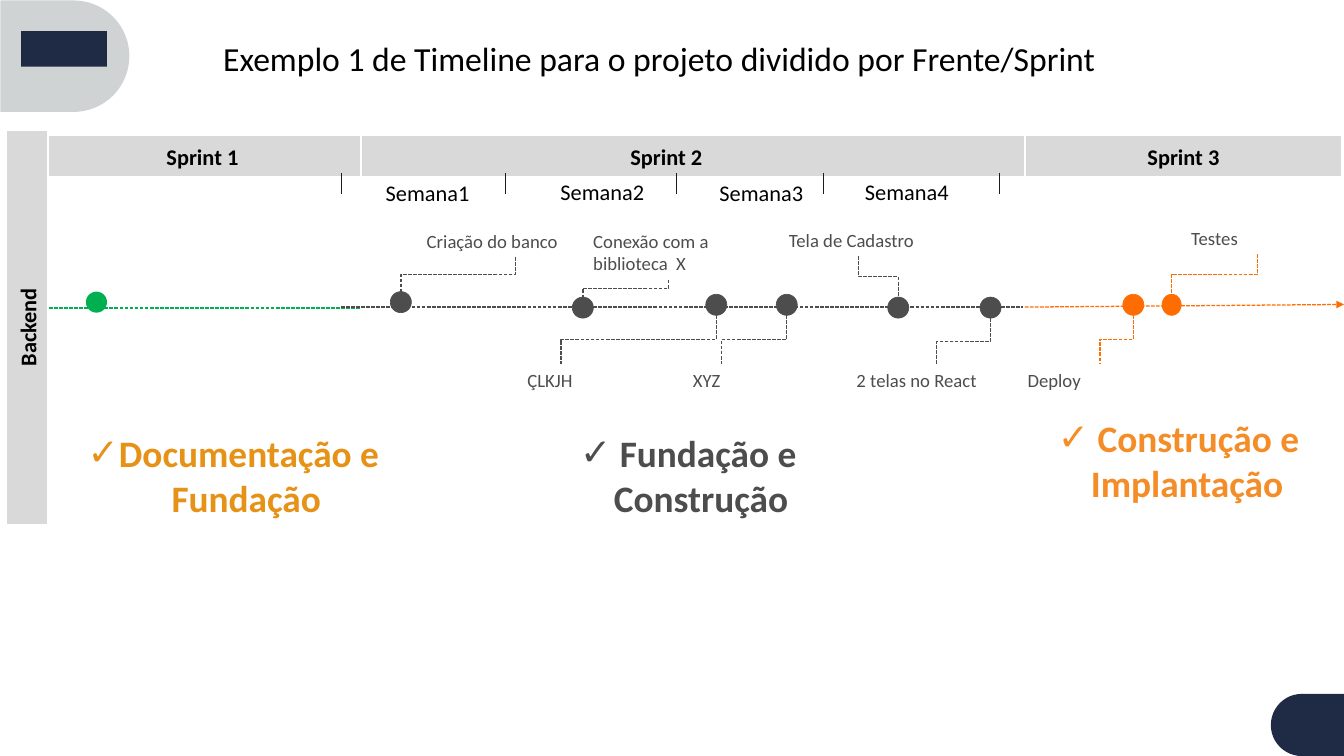
from dataclasses import dataclass

from lxml.etree import SubElement
from pptx import Presentation
from pptx.dml.color import RGBColor
from pptx.enum.dml import MSO_LINE
from pptx.enum.shapes import MSO_CONNECTOR, MSO_SHAPE
from pptx.enum.text import MSO_ANCHOR, MSO_AUTO_SIZE, PP_ALIGN
from pptx.oxml.ns import qn
from pptx.shapes.autoshape import Shape
from pptx.shapes.connector import Connector
from pptx.slide import Slide
from pptx.util import Pt


@dataclass(frozen=True)
class Theme:
    font: str = "Calibri"
    black: str = "000000"
    white: str = "FFFFFF"
    navy: str = "1F2A44"
    mist: str = "D0D3D4"
    band: str = "D9D9D9"
    grey: str = "4D4D4D"
    tick: str = "1C1C1C"
    green: str = "00B050"
    orange: str = "FF6D00"
    amber: str = "E59217"
    tangerine: str = "F48D27"
    title_size: float = 26.5
    goal_size: float = 29.4
    band_size: float = 17.6
    label_size: float = 14.7


THEME = Theme()
DOT = 16.6


@dataclass(frozen=True)
class Box:
    left: float
    top: float
    width: float
    height: float


@dataclass(frozen=True)
class Milestone:
    text: str
    label: Box
    dot: Box
    color: str = THEME.grey


@dataclass(frozen=True)
class Goal:
    placeholder: int
    text: str
    box: Box
    color: str


@dataclass(frozen=True)
class Label:
    text: str
    box: Box
    rotation: float = 0


BANDS = [
    Label("Sprint 2", Box(242.6, 106.6, 564.5, 33.1)),
    Label("Sprint 3", Box(807.1, 106.6, 249.8, 33.1)),
    Label("Sprint 1", Box(34.6, 106.6, 249.8, 33.1)),
    Label("Backend", Box(-133.9, 241.2, 311, 33.1), 270),
]
WEEKS = [(303.8, 135.4), (441.4, 134.6), (566.6, 136.1), (681.1, 134.6)]
TICKS = [268.6, 398.2, 532.8, 648.7, 787]
MILESTONES = [
    Milestone("Criação do banco", Box(329, 177.1, 153.4, 25.2), Box(307.4, 229.7, DOT, DOT)),
    Milestone("Conexão com a biblioteca  X", Box(460.1, 177.1, 133.2, 43.2), Box(450.7, 234, DOT, DOT)),
    Milestone("Tela de Cadastro", Box(614.2, 176.4, 123.8, 25.2), Box(699.1, 234, DOT, DOT)),
    Milestone("Testes", Box(931, 175, 118.8, 25.2), Box(915.1, 231.8, 15.1, DOT), THEME.orange),
    Milestone("ÇLKJH", Box(408.2, 286.6, 67, 25.2), Box(555.8, 231.8, DOT, DOT)),
    Milestone("XYZ", Box(538.6, 286.6, 59, 25.2), Box(611.3, 231.8, DOT, DOT)),
    Milestone("2 telas no React", Box(667.4, 287.3, 140.4, 25.2), Box(771.8, 234, DOT, DOT)),
    Milestone("Deploy", Box(802.1, 286.6, 128.2, 25.2), Box(884.2, 231.8, DOT, DOT), THEME.orange),
]
GOALS = [
    Goal(1, "Documentação e Fundação", Box(59, 335.5, 249.8, 78.5), THEME.amber),
    Goal(2, " Fundação e Construção", Box(411.8, 335.5, 260.6, 78.5), THEME.grey),
    Goal(3, " Construção e Implantação ", Box(797.8, 323.3, 260.6, 78.5), THEME.tangerine),
]


def place(shape: Shape, box: Box) -> None:
    shape.left, shape.top = Pt(box.left), Pt(box.top)
    shape.width, shape.height = Pt(box.width), Pt(box.height)


def write(shape: Shape, text: str, size: float, color: str, bold: bool = False,
          align: PP_ALIGN = PP_ALIGN.LEFT, anchor: MSO_ANCHOR = MSO_ANCHOR.TOP,
          wrap: bool = True, inset: tuple[float, float] = (7.2, 3.6)):
    frame = shape.text_frame
    frame.word_wrap, frame.auto_size = wrap, MSO_AUTO_SIZE.NONE
    frame.vertical_anchor = anchor
    frame.margin_left = frame.margin_right = Pt(inset[0])
    frame.margin_top = frame.margin_bottom = Pt(inset[1])
    para = frame.paragraphs[0]
    para.alignment = align
    para.space_before = Pt(0)
    span = para.add_run()
    span.text = text
    span.font.name, span.font.size, span.font.bold = THEME.font, Pt(size), bold
    span.font.color.rgb = RGBColor.from_string(color)
    return para


def add_block(slide: Slide, kind: MSO_SHAPE, box: Box, fill: str,
              line: str | None = None, line_width: float = 0.5, rotation: float = 0) -> Shape:
    shape = slide.shapes.add_shape(kind, Pt(box.left), Pt(box.top), Pt(box.width), Pt(box.height))
    shape.shadow.inherit = False
    shape.rotation = rotation
    shape.fill.solid()
    shape.fill.fore_color.rgb = RGBColor.from_string(fill)
    if line:
        shape.line.color.rgb = RGBColor.from_string(line)
        shape.line.width = Pt(line_width)
    else:
        shape.line.fill.background()
    return shape


def add_text(slide: Slide, box: Box) -> Shape:
    return slide.shapes.add_textbox(Pt(box.left), Pt(box.top), Pt(box.width), Pt(box.height))


def add_line(slide: Slide, start: tuple[float, float], end: tuple[float, float], color: str,
             width: float = 1, dashed: bool = True,
             kind: MSO_CONNECTOR = MSO_CONNECTOR.STRAIGHT) -> Connector:
    line = slide.shapes.add_connector(kind, Pt(start[0]), Pt(start[1]), Pt(end[0]), Pt(end[1]))
    line.line.color.rgb = RGBColor.from_string(color)
    line.line.width = Pt(width)
    if dashed:
        line.line.dash_style = MSO_LINE.SQUARE_DOT
    SubElement(line._element.spPr, qn("a:effectLst"))
    return line


def add_elbow(slide: Slide, upper: tuple[float, float], lower: tuple[float, float], color: str) -> None:
    """Leave and arrive vertically: an elbow turned by a quarter around its centre."""
    run, drop = abs(lower[0] - upper[0]), lower[1] - upper[1]
    x, y = (upper[0] + lower[0]) / 2, (upper[1] + lower[1]) / 2
    elbow = add_line(slide, (x - drop / 2, y - run / 2), (x + drop / 2, y + run / 2),
                     color, kind=MSO_CONNECTOR.ELBOW)
    frame = elbow._element.spPr.find(qn("a:xfrm"))
    if lower[0] < upper[0]:
        frame.set("rot", "5400000")
    else:
        frame.set("rot", "16200000")
        frame.set("flipH", "1")


def add_milestone(slide: Slide, item: Milestone) -> None:
    label, dot = item.label, item.dot
    label_x, dot_x = label.left + label.width / 2, dot.left + dot.width / 2
    if label.top < dot.top:
        add_elbow(slide, (label_x, label.top + label.height), (dot_x, dot.top), item.color)
    else:
        add_elbow(slide, (dot_x, dot.top + dot.height), (label_x, label.top), item.color)
    add_block(slide, MSO_SHAPE.OVAL, dot, item.color, item.color)
    write(add_text(slide, label), item.text, THEME.label_size, THEME.grey)


def add_goal(slide: Slide, goal: Goal) -> None:
    body = slide.placeholders[goal.placeholder]
    place(body, goal.box)
    para = write(body, goal.text, THEME.goal_size, goal.color, True, PP_ALIGN.CENTER)
    properties = para._p.get_or_add_pPr()
    properties.set("marL", str(Pt(20.2)))
    properties.set("indent", str(-Pt(20.2)))
    SubElement(properties, qn("a:buChar")).set("char", "✓")


def main() -> None:
    deck = Presentation()
    deck.slide_width, deck.slide_height = Pt(1058.4), Pt(595.44)
    slide = deck.slides.add_slide(deck.slide_layouts[4])
    spare = slide.placeholders[4]._element
    spare.getparent().remove(spare)

    # Corner decorations and the plain mark
    for box, color, turn in ((Box(1005.1, 542.2, 49, 57.6), THEME.navy, 270),
                             (Box(7.2, -6.5, 87.8, 101.5), THEME.mist, 90)):
        corner = add_block(slide, MSO_SHAPE.ROUND_2_SAME_RECTANGLE, box, color, rotation=turn)
        corner.adjustments[0], corner.adjustments[1] = 0.5, 0
    add_block(slide, MSO_SHAPE.RECTANGLE, Box(16.6, 24.5, 67.7, 28.1), THEME.navy)

    # Title
    place(slide.shapes.title, Box(175.7, 29.5, 722.9, 32.4))
    para = write(slide.shapes.title, "Exemplo 1 de Timeline para o projeto dividido por Frente/Sprint",
                 THEME.title_size, THEME.black, inset=(0, 0))
    para.space_after = Pt(8.8)

    # Time axis
    arrow = add_line(slide, (807.1, 241.9), (1058.4, 239.8), THEME.orange)
    SubElement(arrow.line._get_or_add_ln(), qn("a:tailEnd")).set("type", "triangle")
    add_line(slide, (34.6, 242.6), (284.4, 242.6), THEME.green)
    add_line(slide, (268.6, 241.9), (805.7, 241.9), THEME.grey)
    add_block(slide, MSO_SHAPE.OVAL, Box(67.7, 229.7, DOT, DOT), THEME.green)

    # Sprint and front bands
    for band in BANDS:
        shape = add_block(slide, MSO_SHAPE.RECTANGLE, band.box, THEME.band, THEME.white, 1.5, band.rotation)
        write(shape, band.text, THEME.band_size, THEME.black, True, PP_ALIGN.CENTER, MSO_ANCHOR.MIDDLE, False)

    # Weeks
    for number, (left, top) in enumerate(WEEKS, 1):
        para = write(add_text(slide, Box(left, top, 38.2, 25.9)), f"Semana{number}",
                     THEME.band_size, THEME.black, wrap=False, inset=(0, 0))
        para.line_spacing, para.space_before = Pt(26.5), Pt(11.8)
    for x in TICKS:
        add_line(slide, (x, 136.1), (x, 152.9), THEME.tick, 0.75, False)

    # Milestones and sprint goals
    for item in MILESTONES:
        add_milestone(slide, item)
    for goal in GOALS:
        add_goal(slide, goal)
    deck.save("out.pptx")


if __name__ == "__main__":
    main()
